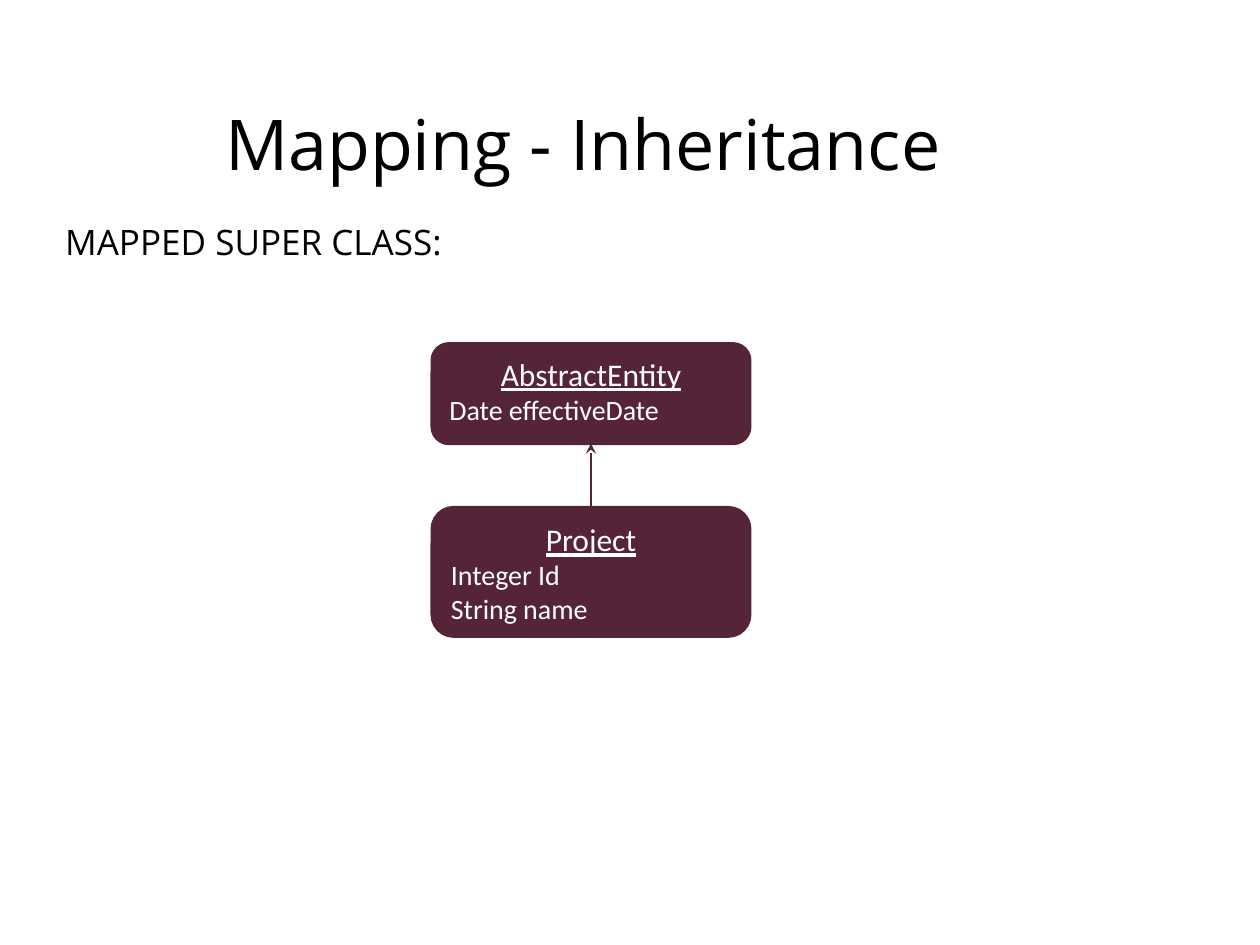
from pptx import Presentation
from pptx.dml.color import RGBColor
from pptx.enum.shapes import MSO_CONNECTOR as Line, MSO_SHAPE as Shape
from pptx.enum.text import MSO_ANCHOR as Anchor, PP_ALIGN as Align
from pptx.oxml.ns import qn
from pptx.util import Pt
from lxml.etree import SubElement

PLUM = RGBColor(0x55, 0x24, 0x38)
WHITE = RGBColor(0xFF, 0xFF, 0xFF)
BLACK = RGBColor(0, 0, 0)


def style(para, size, face, color):
    font = para.font
    font.size, font.name = Pt(size), face
    font.color.rgb = color


def heading(slide, box, text, size, anchor):
    frame = slide.shapes.add_textbox(*map(Pt, box)).text_frame
    frame.word_wrap = True
    frame.vertical_anchor = anchor
    para = frame.paragraphs[0]
    para.text = text
    style(para, size, "Open Sans", BLACK)


def entity(slide, box, name, fields):
    """Class box: underlined name above its fields."""
    card = slide.shapes.add_shape(Shape.ROUNDED_RECTANGLE, *map(Pt, box))
    card.shadow.inherit = False
    card.fill.solid()
    card.fill.fore_color.rgb = PLUM
    card.line.color.rgb = PLUM
    card.line.width = Pt(2)
    frame = card.text_frame
    frame.word_wrap = True
    frame.vertical_anchor = Anchor.TOP

    # Name
    para = frame.paragraphs[0]
    para.text = name
    para.alignment = Align.CENTER
    style(para, 18, "Calibri", WHITE)
    para.font.underline = True

    # Fields
    for field in fields:
        para = frame.add_paragraph()
        para.text = field
        para.alignment = Align.LEFT
        style(para, 16, "Calibri", WHITE)
    return card


def extends(slide, child, parent):
    """Arrow from the top of the child to the bottom of its parent."""
    arrow = slide.shapes.add_connector(Line.STRAIGHT, 0, 0, 0, 0)
    arrow.begin_connect(child, 0)
    arrow.end_connect(parent, 2)
    arrow.line.color.rgb = PLUM
    arrow.line.width = Pt(0.75)
    SubElement(arrow.line._get_or_add_ln(), qn("a:tailEnd"), type="stealth")
    SubElement(arrow._element.spPr, qn("a:effectLst"))


def diagram(slide, box):
    """Parent at the top of the box, child at the bottom."""
    left, top, width, height = box
    tall, low = 73.4, 56.9
    child = entity(slide, (left, top + height - tall, width, tall),
                   "Project", ["Integer Id", "String name"])
    parent = entity(slide, (left, top, width, low),
                    "AbstractEntity", ["Date effectiveDate"])
    extends(slide, child, parent)


def main():
    deck = Presentation()
    deck.slide_width, deck.slide_height = Pt(720), Pt(540)
    slide = deck.slides.add_slide(deck.slide_layouts[6])
    heading(slide, (121.7, 36, 640.8, 90.7), "Mapping - Inheritance", 40,
            Anchor.MIDDLE)
    heading(slide, (30.2, 122.4, 640.8, 203.8), "MAPPED SUPER CLASS:", 20,
            Anchor.TOP)
    diagram(slide, (247, 196.5, 181.4, 167))
    deck.save("out.pptx")


if __name__ == "__main__":
    main()
